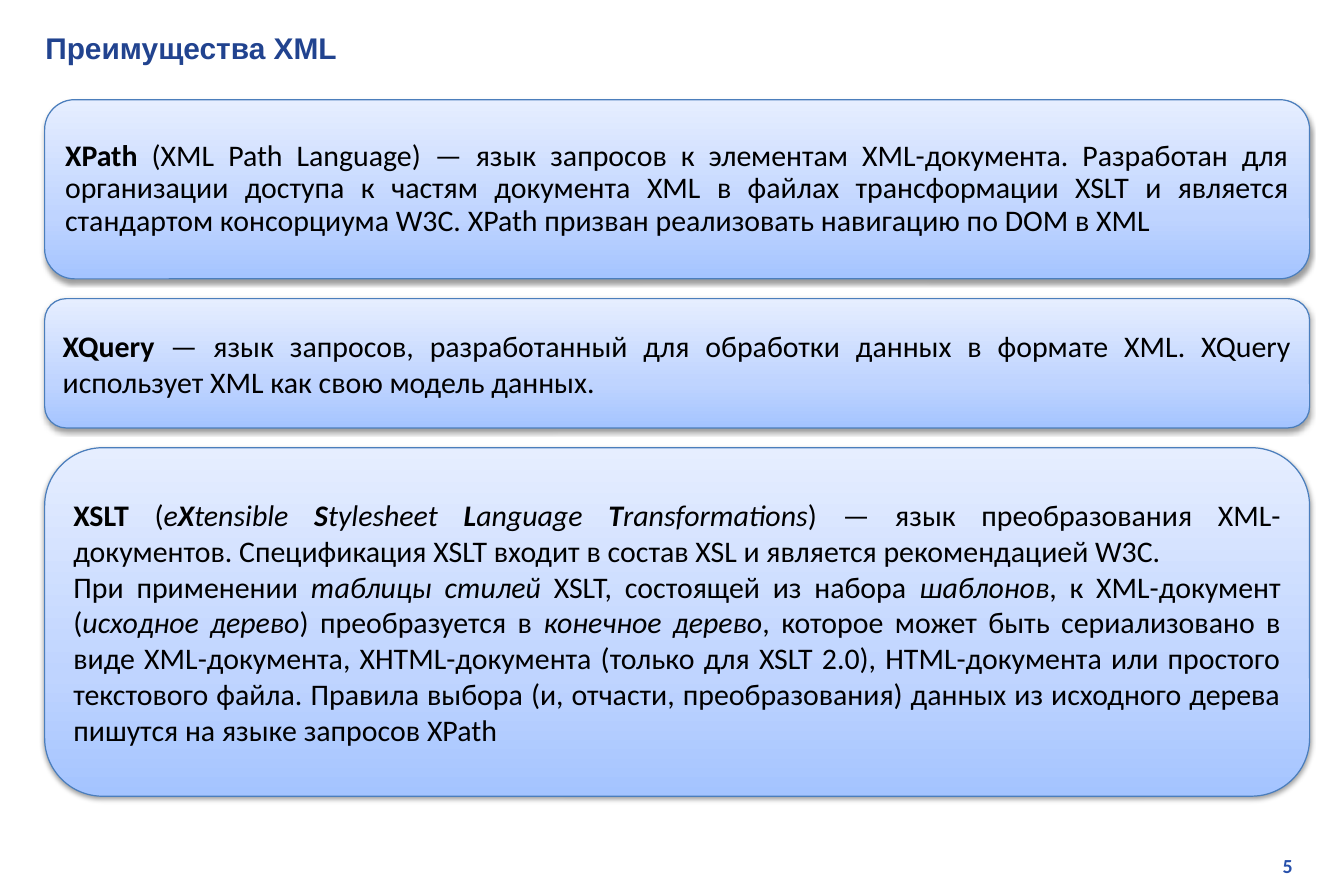
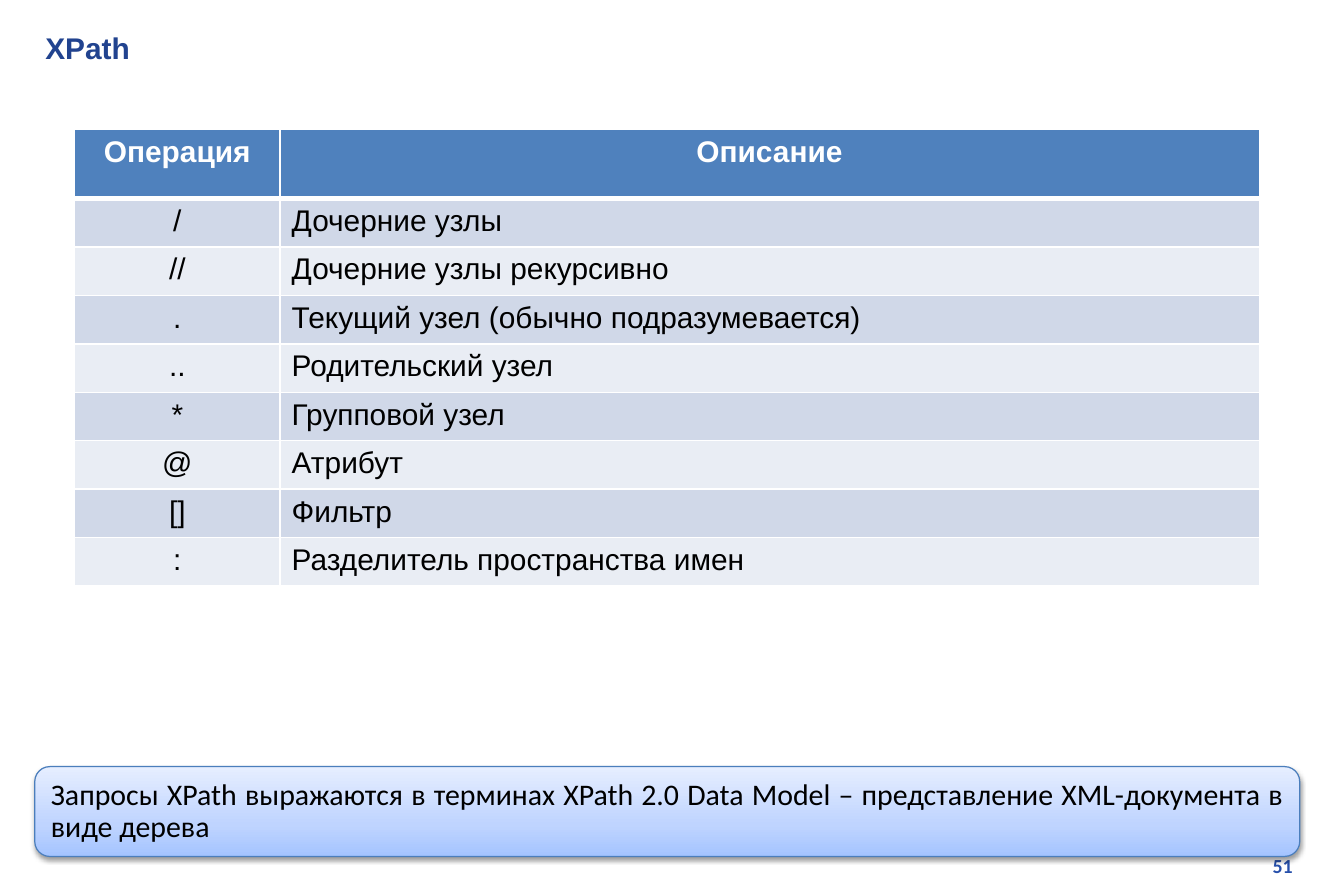
from lxml import etree
from pptx import Presentation
from pptx.dml.color import RGBColor
from pptx.enum.shapes import MSO_SHAPE
from pptx.enum.text import MSO_ANCHOR, MSO_AUTO_SIZE, PP_ALIGN
from pptx.oxml import parse_xml
from pptx.oxml.ns import qn
from pptx.util import Cm, Pt

ROUNDED = MSO_SHAPE.ROUNDED_RECTANGLE
PROCESS = MSO_SHAPE.FLOWCHART_ALTERNATE_PROCESS
MIDDLE = MSO_ANCHOR.MIDDLE
NO_FIT = MSO_AUTO_SIZE.NONE
LEFT, CENTER, RIGHT, JUSTIFY = PP_ALIGN.LEFT, PP_ALIGN.CENTER, PP_ALIGN.RIGHT, PP_ALIGN.JUSTIFY
DRAWING = 'xmlns:a="http://schemas.openxmlformats.org/drawingml/2006/main"'


def color(value):
    return RGBColor.from_string(value)


class Deck:
    """Holds the shared style and the current page."""

    TITLE, NUMBER, BLACK, WHITE = "21438F", "2750AB", "000000", "FFFFFF"
    OUTLINE, HEADER, BANDS = "4B7EBC", "4F81BD", ("D0D8E8", "E9EDF4")
    STOPS = ((0, "A4C4FF"), (35, "BFD4FF"), (100, "E6EEFF"))
    HEAD_FONT, BODY_FONT = "Arial", "Calibri"
    PANEL_WIDTH = 26.9

    def __init__(self):
        self.deck = Presentation()
        self.deck.slide_width, self.deck.slide_height = Cm(28.58), Cm(19.05)
        self.page = None

    def font(self, para, name, size, hue, bold=None):
        para.font.name, para.font.size, para.font.bold = name, Pt(size), bold
        para.font.color.rgb = color(hue)

    def add_page(self, title, number):
        self.page = self.deck.slides.add_slide(self.deck.slide_layouts[5])
        # Title
        box = self.page.shapes.title
        box.left, box.top, box.width, box.height = Cm(0.71), Cm(0.51), Cm(27.28), Cm(1.02)
        frame = box.text_frame
        frame.text = title
        frame.auto_size, frame.vertical_anchor = NO_FIT, MIDDLE
        para = frame.paragraphs[0]
        para.alignment = LEFT
        self.font(para, self.HEAD_FONT, 18, self.TITLE, True)
        # Page number
        box = self.page.shapes.add_textbox(Cm(21.69), Cm(18.03), Cm(6.05), Cm(0.76))
        box.text_frame.word_wrap = True
        para = box.text_frame.paragraphs[0]
        para.text, para.alignment = number, RIGHT
        self.font(para, self.BODY_FONT, 12, self.NUMBER, True)

    def add_panel(self, left, top, height, paragraphs, kind=ROUNDED, spacing=None):
        """Each paragraph is a list of (text, style); style holds b and/or i."""
        box = self.page.shapes.add_shape(kind, Cm(left), Cm(top), Cm(self.PANEL_WIDTH), Cm(height))
        box.line.color.rgb, box.line.width = color(self.OUTLINE), Pt(0.75)
        # Gradient and soft shadow
        stops = "".join(f'<a:gs pos="{place * 1000}"><a:srgbClr val="{hue}"/></a:gs>'
                        for place, hue in self.STOPS)
        box.fill.background()
        blank = box._element.spPr.find(qn("a:noFill"))
        blank.getparent().replace(blank, parse_xml(
            f'<a:gradFill {DRAWING} rotWithShape="1"><a:gsLst>{stops}</a:gsLst>'
            '<a:lin ang="16200000" scaled="0"/></a:gradFill>'))
        box._element.spPr.append(parse_xml(
            f'<a:effectLst {DRAWING}><a:outerShdw blurRad="40000" dist="20000" dir="5400000" '
            f'rotWithShape="0"><a:srgbClr val="{self.BLACK}"><a:alpha val="38000"/></a:srgbClr>'
            '</a:outerShdw></a:effectLst>'))
        # Text
        frame = box.text_frame
        frame.word_wrap, frame.vertical_anchor = True, MIDDLE
        for index, spans in enumerate(paragraphs):
            para = frame.add_paragraph() if index else frame.paragraphs[0]
            para.alignment, para.line_spacing = JUSTIFY, spacing
            self.font(para, self.BODY_FONT, 18, self.BLACK)
            for text, style in spans:
                span = para.add_run()
                span.text = text
                span.font.bold, span.font.italic = "b" in style, "i" in style

    def add_borders(self, cell, bottom):
        props = cell._tc.get_or_add_tcPr()
        for side, width in (("L", 1), ("R", 1), ("T", 1), ("B", bottom)):
            line = etree.SubElement(props, qn(f"a:ln{side}"), w=str(Pt(width)))
            fill = etree.SubElement(line, qn("a:solidFill"))
            etree.SubElement(fill, qn("a:srgbClr"), val=self.WHITE)

    def add_table(self, left, top, widths, header_height, row_height, rows):
        heights = [header_height] + [row_height] * (len(rows) - 1)
        table = self.page.shapes.add_table(len(rows), len(widths), Cm(left), Cm(top),
                                           Cm(sum(widths)), Cm(sum(heights))).table
        for column, width in zip(table.columns, widths):
            column.width = Cm(width)
        for r, texts in enumerate(rows):
            table.rows[r].height = Cm(heights[r])
            header = r == 0
            for c, text in enumerate(texts):
                cell = table.cell(r, c)
                self.add_borders(cell, 3 if header else 1)
                cell.fill.solid()
                cell.fill.fore_color.rgb = color(self.HEADER if header else self.BANDS[(r - 1) % 2])
                para = cell.text_frame.paragraphs[0]
                para.text = text
                para.alignment = CENTER if header or c == 0 else LEFT
                self.font(para, self.HEAD_FONT, 18, self.WHITE if header else self.BLACK, header)


# Content
XPATH = [[
    ("XPath", "b"),
    (" (XML Path Language) — язык запросов к элементам XML-документа. Разработан для "
     "организации доступа к частям документа XML в файлах трансформации XSLT и является "
     "стандартом консорциума W3C. XPath призван реализовать навигацию по DOM в XML", ""),
]]
XQUERY = [[
    ("XQuery", "b"),
    (" — язык запросов, разработанный для обработки данных в формате XML. XQuery "
     "использует XML как свою модель данных.", ""),
]]
XSLT = [
    [("XSLT", "b"), (" (", ""), ("e", "i"), ("X", "bi"), ("tensible ", "i"), ("S", "bi"),
     ("tylesheet ", "i"), ("L", "bi"), ("anguage ", "i"), ("T", "bi"), ("ransformations", "i"),
     (") — язык преобразования XML-документов. Спецификация XSLT входит в состав XSL и "
      "является рекомендацией W3C.", "")],
    [("При применении ", ""), ("таблицы стилей", "i"), (" XSLT, состоящей из набора ", ""),
     ("шаблонов", "i"), (", к XML-документ (", ""), ("исходное дерево", "i"),
     (") преобразуется в ", ""), ("конечное дерево", "i"),
     (", которое может быть сериализовано в виде XML-документа, XHTML-документа (только для "
      "XSLT 2.0), HTML-документа или простого текстового файла. Правила выбора (и, отчасти, "
      "преобразования) данных из исходного дерева пишутся на языке запросов XPath", "")],
]
OPERATIONS = [
    ("Операция", "Описание"),
    ("/", "Дочерние узлы"),
    ("//", "Дочерние узлы рекурсивно"),
    (".", "Текущий узел (обычно подразумевается)"),
    ("..", "Родительский узел"),
    ("*", "Групповой узел"),
    ("@", "Атрибут"),
    ("[]", "Фильтр"),
    (":", "Разделитель пространства имен"),
]
DATA_MODEL = [[
    ("Запросы XPath выражаются в терминах XPath 2.0 Data Model – представление XML-документа "
     "в виде дерева", ""),
]]


def main():
    show = Deck()

    # Stacked definitions
    show.add_page("Преимущества XML", "5")
    top, gap = 2.12, 0.42
    for height, text, spacing in ((3.81, XPATH, 0.9), (2.75, XQUERY, None), (7.41, XSLT, None)):
        show.add_panel(0.95, top, height, text, spacing=spacing)
        top += height + gap

    # Table of operations and a closing remark
    show.add_page("XPath", "51")
    show.add_table(1.59, 2.75, (4.36, 20.83), 1.47, 1.03, OPERATIONS)
    show.add_panel(0.74, 16.3, 1.91, DATA_MODEL, PROCESS, 0.9)

    show.deck.save("out.pptx")


if __name__ == "__main__":
    main()
